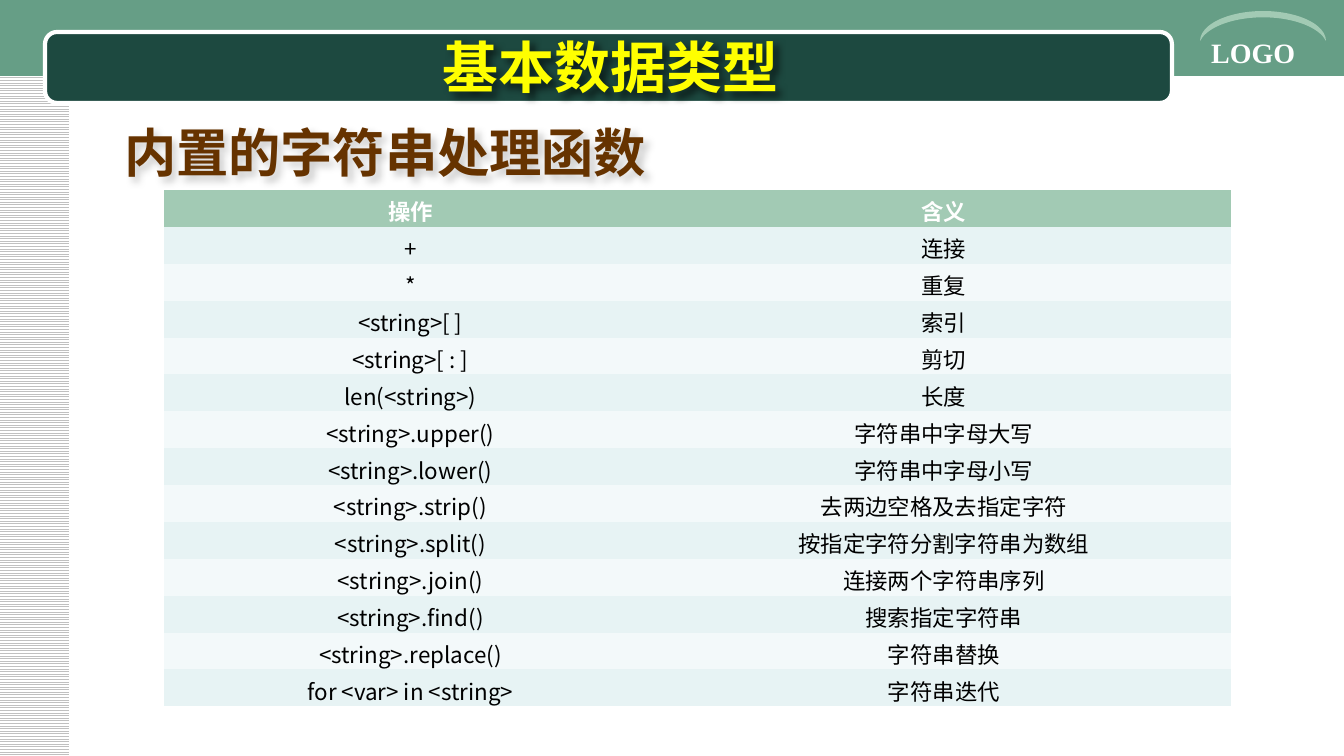
from dataclasses import dataclass
from typing import Optional

from lxml import etree
from pptx import Presentation
from pptx import util as u
from pptx.dml.color import RGBColor
from pptx.enum import dml, shapes, text
from pptx.oxml import ns

EMU_PER_PX = 914400 / 134.4

SANS = "Noto Sans CJK SC"
SERIF = "Times New Roman"
WHITE = RGBColor(0xFF, 0xFF, 0xFF)
BLACK = RGBColor(0x00, 0x00, 0x00)
SILVER = RGBColor(0xC0, 0xC0, 0xC0)
GREEN = RGBColor(0x66, 0x9E, 0x86)
DARK_GREEN = RGBColor(0x1D, 0x49, 0x40)
PALE_GREEN = RGBColor(0xA2, 0xCA, 0xB4)
YELLOW = RGBColor(0xFF, 0xFF, 0x00)
BROWN = RGBColor(0x66, 0x33, 0x00)
ROW_FILLS = (RGBColor(0xF3, 0xF9, 0xFA), RGBColor(0xE7, 0xF3, 0xF4))

SLIDE_WIDTH, SLIDE_HEIGHT = 1344, 756
TABLE_LEFT, TABLE_TOP, TABLE_HEIGHT = 164, 190, 518
COLUMN_WIDTHS = (493, 574)
MIN_ROW_HEIGHT = 31
CELL_MARGIN = 5
OPERATIONS = (
    ("操作", "含义"),
    ("+", "连接"),
    ("*", "重复"),
    ("<string>[ ]", "索引"),
    ("<string>[ : ]", "剪切"),
    ("len(<string>)", "长度"),
    ("<string>.upper()", "字符串中字母大写"),
    ("<string>.lower()", "字符串中字母小写"),
    ("<string>.strip()", "去两边空格及去指定字符"),
    ("<string>.split()", "按指定字符分割字符串为数组"),
    ("<string>.join()", "连接两个字符串序列"),
    ("<string>.find()", "搜索指定字符串"),
    ("<string>.replace()", "字符串替换"),
    ("for <var> in <string>", "字符串迭代"),
)


@dataclass(frozen=True)
class Box:
    left: int
    top: int
    width: int
    height: int

    def emu(self) -> tuple:
        return tuple(px(v) for v in (self.left, self.top, self.width, self.height))


@dataclass(frozen=True)
class Style:
    size: int
    color: RGBColor
    font: str = SANS
    bold: bool = True


@dataclass(frozen=True)
class Panel:
    box: Box
    kind: shapes.MSO_SHAPE
    fill: RGBColor
    outline: Optional[RGBColor] = None
    adjust: Optional[float] = None
    rotation: int = 0


@dataclass(frozen=True)
class Label:
    box: Box
    words: str
    style: Style
    align: text.PP_ALIGN = text.PP_ALIGN.LEFT
    wrap: bool = True
    shadow_alpha: int = 0  # percent, 0 for none


PANELS = (
    Panel(Box(0, 0, 1345, 76), shapes.MSO_SHAPE.RECTANGLE, GREEN),
    Panel(Box(45, 32, 1127, 71), shapes.MSO_SHAPE.ROUNDED_RECTANGLE,
          DARK_GREEN, WHITE, 0.17),
    Panel(Box(1248, -37, 30, 126), shapes.MSO_SHAPE.MOON, PALE_GREEN,
          adjust=0.21, rotation=90),
)
LABELS = (
    Label(Box(1198, 29, 145, 47), "LOGO", Style(15, WHITE, SERIF)),
    Label(Box(68, 35, 1086, 62), "基本数据类型", Style(30, YELLOW),
          text.PP_ALIGN.CENTER, shadow_alpha=60),
    Label(Box(111, 113, 555, 77), "内置的字符串处理函数", Style(28, BROWN),
          wrap=False, shadow_alpha=20),
)


def px(length: int) -> int:
    return round(length * EMU_PER_PX)


def add_shadow(shape, alpha: int) -> None:
    """Cast a soft shadow from the words of an unfilled text box."""
    effects = etree.SubElement(shape._element.spPr, ns.qn("a:effectLst"))
    shadow = etree.SubElement(effects, ns.qn("a:outerShdw"), blurRad="50800",
                              dist="38100", dir="2700000", algn="tl")
    black = etree.SubElement(shadow, ns.qn("a:srgbClr"), val="000000")
    etree.SubElement(black, ns.qn("a:alpha"), val=str(alpha * 1000))


def write(frame, words: str, style: Style, align: text.PP_ALIGN) -> None:
    frame.text = words
    paragraph = frame.paragraphs[0]
    paragraph.alignment = align
    for run in paragraph.runs:
        run.font.size = u.Pt(style.size)
        run.font.bold = style.bold
        run.font.color.rgb = style.color
        run.font.name = style.font
        east_asian = etree.Element(ns.qn("a:ea"), typeface=style.font)
        run.font._element.find(ns.qn("a:latin")).addnext(east_asian)


def add_stripes(slide, box: Box) -> None:
    stripes = slide.shapes.add_shape(shapes.MSO_SHAPE.RECTANGLE, *box.emu())
    stripes.shadow.inherit = False
    stripes.fill.patterned()
    stripes.fill.pattern = dml.MSO_PATTERN.LIGHT_HORIZONTAL
    stripes.fill.fore_color.rgb = SILVER
    stripes.fill.back_color.rgb = WHITE
    stripes.line.fill.background()


def add_panel(slide, panel: Panel) -> None:
    shape = slide.shapes.add_shape(panel.kind, *panel.box.emu())
    shape.shadow.inherit = False
    shape.rotation = panel.rotation
    shape.fill.solid()
    shape.fill.fore_color.rgb = panel.fill
    if panel.adjust is not None:
        shape.adjustments[0] = panel.adjust
    if panel.outline is None:
        shape.line.fill.background()
    else:
        shape.line.color.rgb = panel.outline
        shape.line.width = u.Pt(2.25)


def add_label(slide, label: Label) -> None:
    shape = slide.shapes.add_textbox(*label.box.emu())
    frame = shape.text_frame
    frame.word_wrap = label.wrap
    frame.vertical_anchor = text.MSO_ANCHOR.MIDDLE
    write(frame, label.words, label.style, label.align)
    if label.shadow_alpha:
        add_shadow(shape, label.shadow_alpha)


def add_operations(slide) -> None:
    box = Box(TABLE_LEFT, TABLE_TOP, sum(COLUMN_WIDTHS), TABLE_HEIGHT)
    holder = slide.shapes.add_table(len(OPERATIONS), len(COLUMN_WIDTHS), *box.emu())
    table = holder.table
    # "No Style, No Grid": cells carry only their own fills
    style_id = table._tbl.tblPr.find(ns.qn("a:tableStyleId"))
    style_id.text = "{2D5ABB26-0587-4C30-8999-92F81FD0307C}"
    for column, width in zip(table.columns, COLUMN_WIDTHS):
        column.width = px(width)
    for index, (row, entries) in enumerate(zip(table.rows, OPERATIONS)):
        row.height = px(MIN_ROW_HEIGHT)
        header = index == 0
        style = Style(12, WHITE if header else BLACK, bold=header)
        for cell, words in zip(row.cells, entries):
            cell.margin_top = cell.margin_bottom = px(CELL_MARGIN)
            cell.fill.solid()
            cell.fill.fore_color.rgb = PALE_GREEN if header else ROW_FILLS[index % 2]
            write(cell.text_frame, words, style, text.PP_ALIGN.CENTER)
    holder.height = px(TABLE_HEIGHT)


def main() -> None:
    deck = Presentation()
    deck.slide_width, deck.slide_height = px(SLIDE_WIDTH), px(SLIDE_HEIGHT)
    slide = deck.slides.add_slide(deck.slide_layouts[6])
    add_stripes(slide, Box(-2, 0, 71, SLIDE_HEIGHT))
    for panel in PANELS:
        add_panel(slide, panel)
    for label in LABELS:
        add_label(slide, label)
    add_operations(slide)
    deck.save("out.pptx")


if __name__ == "__main__":
    main()
